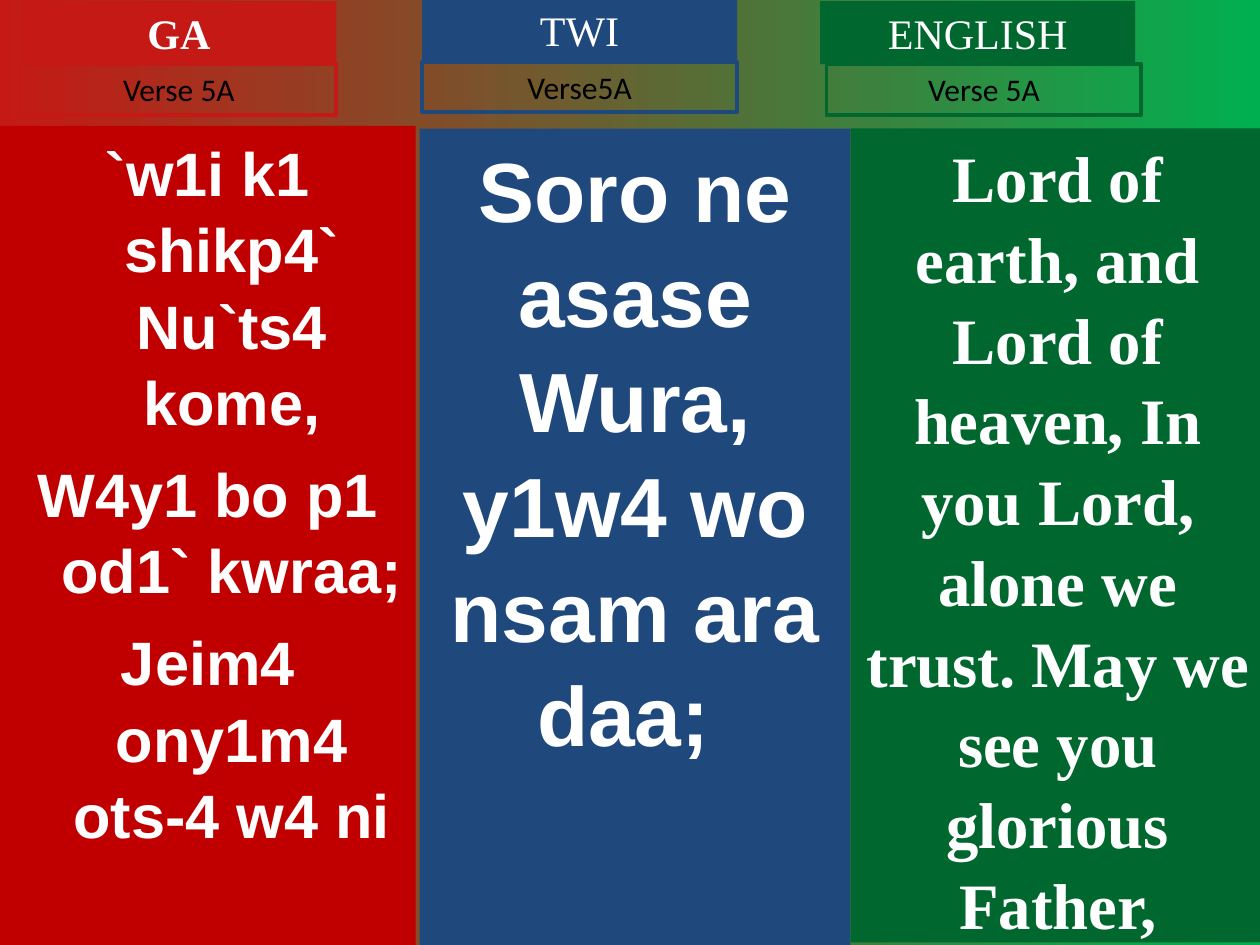
from pptx import Presentation
from pptx.dml.color import RGBColor
from pptx.enum.shapes import MSO_SHAPE as Shape
from pptx.enum.text import MSO_ANCHOR as Anchor, PP_ALIGN as Align
from pptx.util import Inches, Pt

RED, BLUE, GREEN, WHITE = "C51915", "1F497D", "00682F", "FFFFFF"
TAG_WIDTH, TITLE_HEIGHT, VERSE_HEIGHT = 2.5, 0.5, 0.4


def colour(value):
    """Turn a hex string into a colour."""
    return RGBColor.from_string(value)


def set_background(slide, start, end):
    """Fill the slide with a gradient from left to right."""
    fill = slide.background.fill
    fill.gradient()
    fill.gradient_angle = 0
    for stop, value in zip(fill.gradient_stops, (start, end)):
        stop.color.rgb = colour(value)


def add_box(slide, bounds, texts, font, size, text_colour=WHITE, bold=False,
            fill=None, line=None):
    """Add a rectangle with centred paragraphs and return its paragraphs."""
    shape = slide.shapes.add_shape(Shape.RECTANGLE, *map(Inches, bounds))
    shape.shadow.inherit = False
    if fill:
        shape.fill.solid()
        shape.fill.fore_color.rgb = colour(fill)
    else:
        shape.fill.background()
    if line:
        shape.line.color.rgb = colour(line)
        shape.line.width = Pt(2.25)
    else:
        shape.line.fill.background()
    frame = shape.text_frame
    frame.word_wrap = True
    frame.vertical_anchor = Anchor.TOP
    frame.text = "\n".join(texts)
    for paragraph in frame.paragraphs:
        paragraph.alignment = Align.CENTER
        for run in paragraph.runs:
            run.font.name, run.font.size, run.font.bold = font, Pt(size), bold
            run.font.color.rgb = colour(text_colour)
    return frame.paragraphs


def add_heading(slide, left, top, title, verse_left, verse, accent, bold=False):
    """Add a language title with its outlined verse tag below."""
    add_box(slide, (left, top, TAG_WIDTH, TITLE_HEIGHT), [title],
            "Times New Roman", 24, bold=bold, fill=accent)
    add_box(slide, (verse_left, top + TITLE_HEIGHT, TAG_WIDTH, VERSE_HEIGHT),
            [verse], "Calibri", 18, "000000", line=accent)


def add_lyrics(slide, bounds, texts, font, size, fill, hanging=0.0):
    """Add a language panel with bold verse lines."""
    paragraphs = add_box(slide, bounds, texts, font, size, bold=True, fill=fill)
    for index, paragraph in enumerate(paragraphs):
        paragraph.line_spacing = 1.04
        paragraph.space_before = Pt(size / 4 if index else 0)
        if hanging:
            properties = paragraph._p.get_or_add_pPr()
            properties.set("marL", str(Inches(hanging)))
            properties.set("indent", str(-Inches(hanging)))


def main():
    """Build the three-language hymn slide."""
    presentation = Presentation()
    presentation.slide_width, presentation.slide_height = Inches(10), Inches(7.5)
    slide = presentation.slides.add_slide(presentation.slide_layouts[6])
    set_background(slide, RED, "00B050")

    add_lyrics(slide, (0, 1, 3.3, 6.5),
               ["`w1i k1 shikp4` Nu`ts4 kome,", "W4y1 bo p1 od1` kwraa;",
                "Jeim4 ony1m4 ots-4 w4 ni"], "Arial", 35, "C00000", hanging=0.38)
    add_lyrics(slide, (3.33, 1.02, 3.42, 6.48),
               ["Soro ne asase Wura, y1w4 wo nsam ara daa; "], "Arial", 48, BLUE)
    add_lyrics(slide, (6.75, 1.02, 3.29, 6.46),
               ["Lord of earth, and Lord of heaven, In you Lord, alone we trust. "
                "May we see you glorious Father,"], "Times New Roman", 37, GREEN)

    add_heading(slide, 0.17, 0.01, "GA", 0.17, "Verse 5A", RED, bold=True)
    add_heading(slide, 3.35, -0.01, "TWI", 3.35, "Verse5A", BLUE)
    add_heading(slide, 6.51, 0.01, "ENGLISH", 6.56, "Verse 5A", GREEN)
    presentation.save("out.pptx")


if __name__ == "__main__":
    main()
